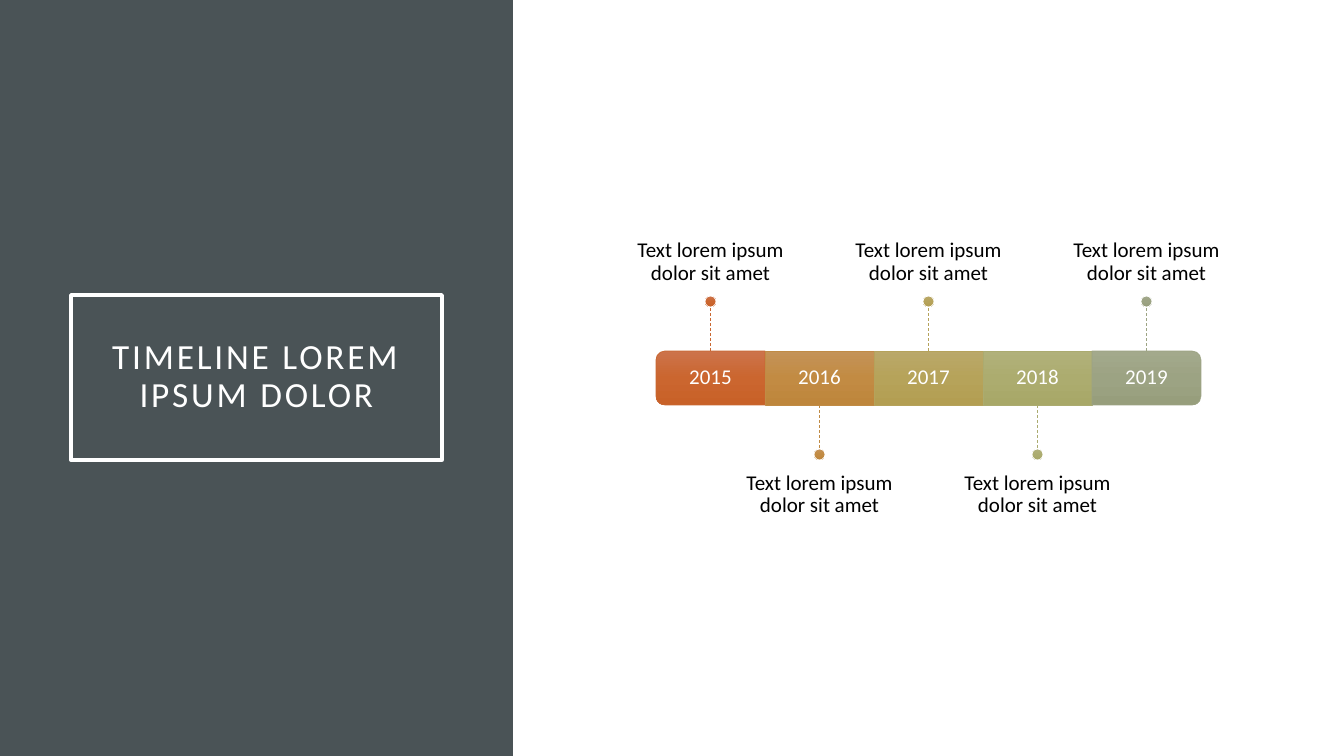
from lxml.etree import SubElement
from pptx import Presentation
from pptx.dml.color import RGBColor
from pptx.enum.dml import MSO_LINE
from pptx.enum.shapes import MSO_CONNECTOR, MSO_SHAPE
from pptx.enum.text import MSO_ANCHOR, PP_ALIGN
from pptx.oxml.ns import qn
from pptx.util import Pt

# Content
TITLE = "TIMELINE LOREM IPSUM DOLOR"
CAPTION = "Text lorem ipsum dolor sit amet"
MILESTONES = [
    ("2015", CAPTION),
    ("2016", CAPTION),
    ("2017", CAPTION),
    ("2018", CAPTION),
    ("2019", CAPTION),
]

# Colours
COLORS = {"panel": "4A5356", "white": "FFFFFF", "black": "000000"}
YEAR_COLORS = {  # line colour, then gradient from top to bottom
    "2015": ("C96731", ("CC734B", "CB662F", "C86128")),
    "2016": ("C08B45", ("C49358", "C28B43", "BE863C")),
    "2017": ("B5A25B", ("BAA86A", "B6A35A", "B39E52")),
    "2018": ("ABAB70", ("B1B17B", "ACAC6F", "A8A868")),
    "2019": ("9CA383", ("A3A98C", "9CA383", "979E7C")),
}

# Layout in px
SLIDE_W, SLIDE_H = 1344, 756
PANEL_W = 513
TITLE_BOX = (71, 295, 371, 165)
TITLE_INSET = 20
BAR_LEFT, BAR_TOP, STEP_W, BAR_H = 656, 351, 109, 54
STEM, DOT = 44, 11
CAPTION_W, CAPTION_H = 181, 190
INSET = 12

# Text formats
TITLE_FONT = {"name": "Calibri", "size": Pt(25.2)}
BODY_FONT = {"name": "Calibri", "size": Pt(15)}


def px(length):
    return round(length * 914400 / 100.8)


def rgb(value):
    return RGBColor.from_string(value)


def set_line(part, color, points):
    part.line.color.rgb = rgb(color)
    part.line.width = Pt(points)


def add_text(text, box, font, color, anchor, insets):
    frame_box = slide.shapes.add_textbox(*map(px, box))
    frame = frame_box.text_frame
    left, top, right, bottom = map(px, insets)
    frame_format = {
        "word_wrap": True, "vertical_anchor": anchor,
        "margin_left": left, "margin_top": top,
        "margin_right": right, "margin_bottom": bottom,
    }
    for name, value in frame_format.items():
        setattr(frame, name, value)
    paragraph = frame.paragraphs[0]
    paragraph.alignment = PP_ALIGN.CENTER
    paragraph.line_spacing = 0.9
    run = paragraph.add_run()
    run.text = text
    for name, value in font.items():
        setattr(run.font, name, value)
    run.font.color.rgb = rgb(color)
    return frame_box


def add_gradient_shape(kind, box, stops, line_color):
    shape = slide.shapes.add_shape(kind, *map(px, box))
    # The gradient stays vertical when the shape is turned
    gradient = SubElement(shape.element.spPr, qn("a:gradFill"), rotWithShape="0")
    stop_list = SubElement(gradient, qn("a:gsLst"))
    for position, color in zip((0, 50000, 100000), stops):
        stop = SubElement(stop_list, qn("a:gs"), pos=str(position))
        SubElement(stop, qn("a:srgbClr"), val=color)
    SubElement(gradient, qn("a:lin"), ang="5400000", scaled="0")
    set_line(shape, line_color, 0.5)
    shape.shadow.inherit = False
    return shape


def add_stem(x, start, end, color):
    stem = slide.shapes.add_connector(
        MSO_CONNECTOR.STRAIGHT, px(x), px(start), px(x), px(end))
    set_line(stem, color, 0.5)
    stem.line.dash_style = MSO_LINE.DASH
    SubElement(stem.element.spPr, qn("a:effectLst"))


def add_milestone(index, year, caption):
    line_color, stops = YEAR_COLORS[year]
    left = BAR_LEFT + index * STEP_W
    center = left + STEP_W / 2

    # Bar segment: the outer ends are rounded by turning a half-round shape
    segment = (left, BAR_TOP, STEP_W, BAR_H)
    turn = {0: 270, len(MILESTONES) - 1: 90}.get(index)
    if turn is None:
        add_gradient_shape(MSO_SHAPE.RECTANGLE, segment, stops, line_color)
    else:
        upright = (center - BAR_H / 2, BAR_TOP + (BAR_H - STEP_W) / 2, BAR_H, STEP_W)
        end = add_gradient_shape(
            MSO_SHAPE.ROUND_2_SAME_RECTANGLE, upright, stops, line_color)
        end.rotation = turn
    add_text(year, segment, BODY_FONT, COLORS["white"], MSO_ANCHOR.MIDDLE, (INSET,) * 4)

    # Captions alternate above and below the bar
    if index % 2 == 0:
        start, stem_end = BAR_TOP, BAR_TOP - STEM
        dot_top = stem_end - DOT
        caption_top = dot_top + 1 - CAPTION_H
        anchor, insets = MSO_ANCHOR.BOTTOM, (0, 0, 0, INSET)
    else:
        start = BAR_TOP + BAR_H
        dot_top = stem_end = start + STEM
        caption_top = dot_top + DOT
        anchor, insets = MSO_ANCHOR.TOP, (0, INSET, 0, 0)
    add_text(caption, (center - CAPTION_W / 2, caption_top, CAPTION_W, CAPTION_H),
             BODY_FONT, COLORS["black"], anchor, insets)
    add_stem(center, start, stem_end, line_color)
    add_gradient_shape(MSO_SHAPE.OVAL, (center - DOT / 2, dot_top, DOT, DOT),
                       stops, COLORS["white"])


presentation = Presentation()
presentation.slide_width, presentation.slide_height = px(SLIDE_W), px(SLIDE_H)
slide = presentation.slides.add_slide(presentation.slide_layouts[6])

# Side panel
panel = slide.shapes.add_shape(MSO_SHAPE.RECTANGLE, 0, 0, px(PANEL_W), px(SLIDE_H))
panel.fill.solid()
panel.fill.fore_color.rgb = rgb(COLORS["panel"])
panel.line.fill.background()
panel.shadow.inherit = False

# Framed title with spaced letters
title = add_text(TITLE, TITLE_BOX, TITLE_FONT, COLORS["white"],
                 MSO_ANCHOR.MIDDLE, (TITLE_INSET,) * 4)
set_line(title, COLORS["white"], 2.5)
for run_format in title.element.iter(qn("a:rPr")):
    run_format.set("spc", "200")

# Timeline
for position, (year, caption) in enumerate(MILESTONES):
    add_milestone(position, year, caption)

presentation.save("out.pptx")
